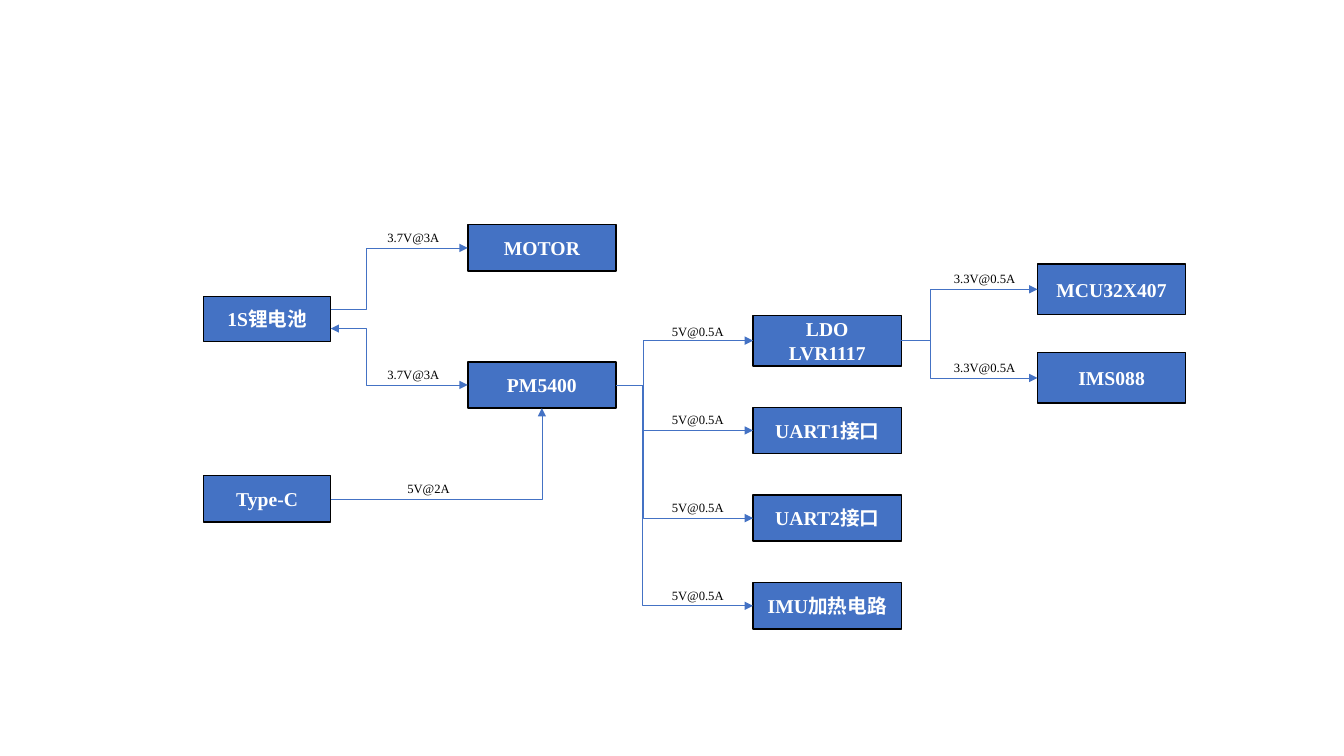
"""Build a slide with the power supply tree of a controller board."""
from lxml import etree
from pptx import Presentation
from pptx.dml.color import RGBColor
from pptx.enum.shapes import MSO_CONNECTOR, MSO_SHAPE
from pptx.enum.text import MSO_ANCHOR, MSO_AUTO_SIZE, PP_ALIGN
from pptx.oxml.ns import qn
from pptx.util import Inches, Pt

COLORS = {"blue": "4472C4", "black": "000000", "white": "FFFFFF"}
LATIN, CHINESE = "Times New Roman", "Noto Sans CJK SC"
BLOCK_FONT = {"size": Pt(14), "bold": True}
LABEL_FONT = {"size": Pt(9), "bold": False}
TOP, LEFT, BOTTOM, RIGHT = range(4)


def color(name):
    return RGBColor.from_string(COLORS[name])


def write(box, texts, style, color_name):
    box.text_frame.word_wrap = True
    para = box.text_frame.paragraphs[0]
    para.alignment = PP_ALIGN.CENTER
    for text in texts:
        if text == "\n":
            para.add_line_break()
            continue
        span = para.add_run()
        span.text = text
        face = LATIN if text.isascii() else CHINESE
        for key, value in {**style, "name": face}.items():
            setattr(span.font, key, value)
        span.font.color.rgb = color(color_name)
        east_asian = etree.SubElement(span.font._element, qn("a:ea"))
        east_asian.set("typeface", face)


deck = Presentation()
deck.slide_width, deck.slide_height = Inches(13.33), Inches(7.5)
page = deck.slides.add_slide(deck.slide_layouts[6])

blocks = {
    "battery": (2.02, 2.94, 1.26, 0.45, ["1S", "锂电池"]),
    "type_c": (2.02, 4.72, 1.26, 0.46, ["Type-C"]),
    "motor": (4.64, 2.23, 1.47, 0.46, ["MOTOR"]),
    "charger": (4.64, 3.59, 1.47, 0.46, ["PM5400"]),
    "ldo": (7.47, 3.13, 1.47, 0.5, ["LDO", "\n", "LVR1117"]),
    "uart1": (7.47, 4.04, 1.47, 0.46, ["UART1", "接口"]),
    "uart2": (7.47, 4.91, 1.47, 0.46, ["UART2", "接口"]),
    "heater": (7.47, 5.78, 1.47, 0.46, ["IMU", "加热电路"]),
    "controller": (10.29, 2.62, 1.47, 0.5, ["MCU32X407"]),
    "sensor": (10.29, 3.5, 1.47, 0.5, ["IMS088"]),
}
boxes = {}
for name, (left, top, width, height, texts) in blocks.items():
    box = page.shapes.add_shape(
        MSO_SHAPE.RECTANGLE, Inches(left), Inches(top), Inches(width), Inches(height))
    box.shadow.inherit = False
    box.fill.solid()
    box.fill.fore_color.rgb = color("blue")
    box.line.color.rgb = color("black")
    box.line.width = Pt(1)
    box.text_frame.vertical_anchor = MSO_ANCHOR.MIDDLE
    write(box, texts, BLOCK_FONT, "white")
    boxes[name] = box

links = [
    ("battery", "motor", 3.07, 25800, ["tailEnd"]),
    ("battery", "charger", 3.26, 25800, ["headEnd", "tailEnd"]),
    ("type_c", "charger", None, None, ["tailEnd"]),
    ("charger", "ldo", None, 20000, ["tailEnd"]),
    ("charger", "uart1", None, 19900, ["tailEnd"]),
    ("charger", "uart2", None, 19800, ["tailEnd"]),
    ("charger", "heater", None, 19600, ["tailEnd"]),
    ("ldo", "controller", None, 21300, ["tailEnd"]),
    ("ldo", "sensor", None, 21300, ["tailEnd"]),
]
for source, target, start_y, bend, arrows in links:
    start, end = boxes[source], boxes[target]
    link = page.shapes.add_connector(
        MSO_CONNECTOR.ELBOW, start.left + start.width, Inches(start_y or 0), end.left, end.top)
    if start_y is None:
        link.begin_connect(start, RIGHT)
    link.end_connect(end, LEFT if bend else BOTTOM)
    link.line.color.rgb = color("blue")
    link.line.width = Pt(0.5)
    properties = link._element.spPr
    geometry = properties.find(qn("a:prstGeom"))
    if bend:
        guide = etree.SubElement(geometry.find(qn("a:avLst")), qn("a:gd"))
        guide.set("name", "adj1")
        guide.set("fmla", f"val {bend}")
    else:
        geometry.set("prst", "bentConnector2")
    for arrow in arrows:
        etree.SubElement(properties.find(qn("a:ln")), qn(f"a:{arrow}")).set("type", "triangle")
    etree.SubElement(properties, qn("a:effectLst"))

labels = [
    (3.71, 2.46, 0.78, "3.7V@3A"),
    (3.71, 3.82, 0.78, "3.7V@3A"),
    (3.86, 4.95, 0.78, "5V@2A"),
    *((6.53, line_y, 0.78, "5V@0.5A") for line_y in (3.39, 4.27, 5.14, 6.01)),
    *((9.3, line_y, 0.93, "3.3V@0.5A") for line_y in (2.87, 3.75)),
]
for left, line_y, width, text in labels:
    label = page.shapes.add_textbox(
        Inches(left), Inches(line_y - 0.23), Inches(width), Inches(0.25))
    label.text_frame.auto_size = MSO_AUTO_SIZE.SHAPE_TO_FIT_TEXT
    write(label, [text], LABEL_FONT, "black")

deck.save("out.pptx")
